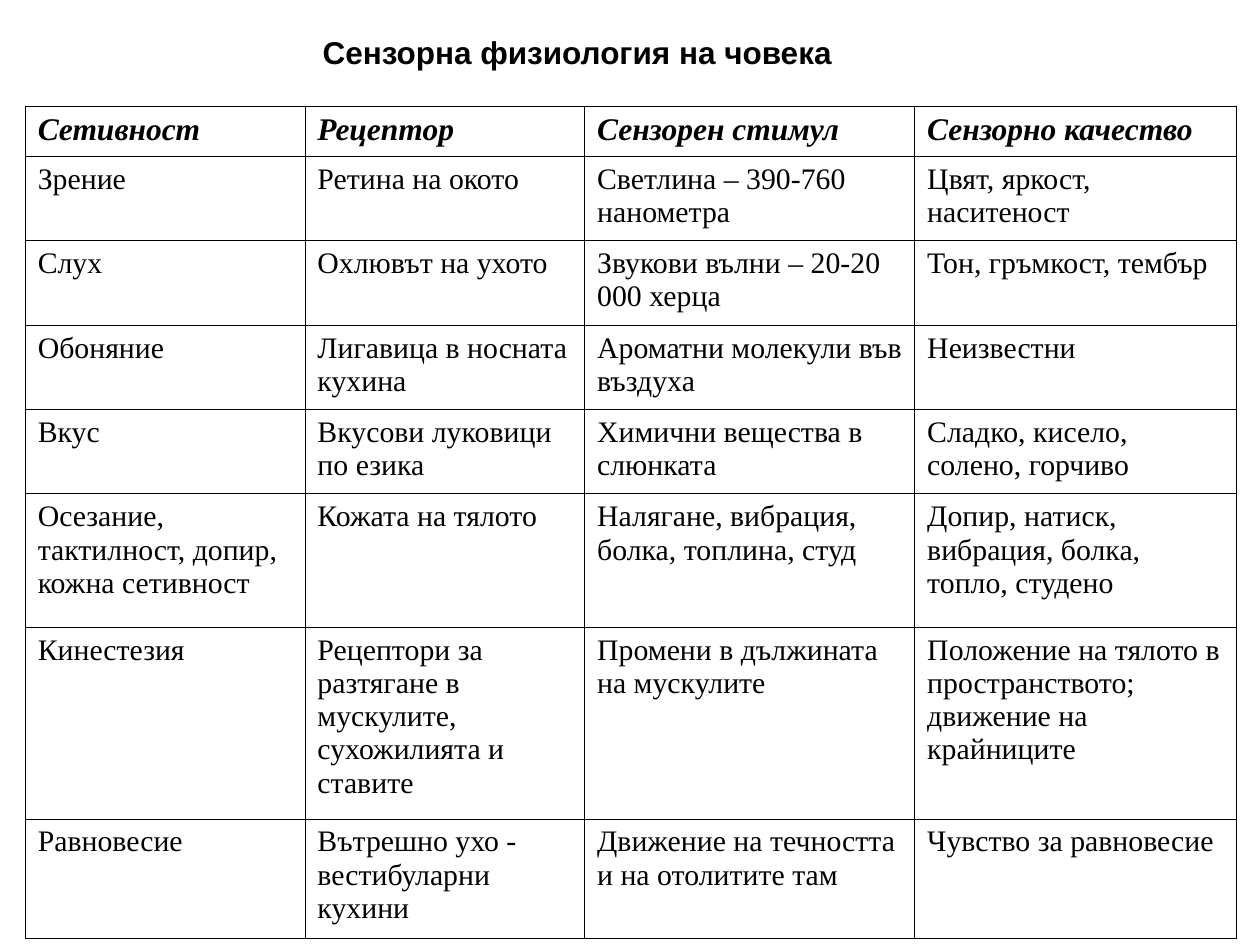
from lxml import etree
from pptx import Presentation
from pptx import util as u
from pptx.dml import color
from pptx.enum import text
from pptx.oxml import ns

COLUMN_WIDTHS = [2.22, 2.22, 2.62, 2.55]
ROW_HEIGHTS = [0.4] + [0.67] * 4 + [1.06, 1.52, 0.95]
SENSES = [
    ["Сетивност", "Рецептор", "Сензорен стимул", "Сензорно качество"],
    ["Зрение", "Ретина на окото", "Светлина – 390-760 нанометра",
     "Цвят, яркост, наситеност"],
    ["Слух", "Охлювът на ухото", "Звукови вълни – 20-20 000 херца",
     "Тон, гръмкост, тембър"],
    ["Обоняние", "Лигавица в носната кухина",
     "Ароматни молекули във въздуха", "Неизвестни"],
    ["Вкус", "Вкусови луковици по езика", "Химични вещества в слюнката",
     "Сладко, кисело, солено, горчиво"],
    ["Осезание, тактилност, допир, кожна сетивност", "Кожата на тялото",
     "Налягане, вибрация, болка, топлина, студ",
     "Допир, натиск, вибрация, болка, топло, студено"],
    ["Кинестезия",
     "Рецептори за разтягане в мускулите, сухожилията и ставите",
     "Промени в дължината на мускулите",
     "Положение на тялото в пространството; движение на крайниците"],
    ["Равновесие", "Вътрешно ухо - вестибуларни кухини",
     "Движение на течността и на отолитите там", "Чувство за равновесие"],
]


def rgb(value):
    """Turn a hex string into a colour."""
    return color.RGBColor.from_string(value)


def write(frame, wording, *, font, size, ink, bold=False, italic=False, indent=0):
    """Write one left-aligned paragraph with the given format."""
    paragraph = frame.paragraphs[0]
    paragraph.alignment = text.PP_ALIGN.LEFT
    if indent:
        paragraph._p.get_or_add_pPr().set("marL", str(u.Inches(indent)))
    run = paragraph.add_run()
    run.text = wording
    run.font.name = font
    run.font.size = u.Pt(size)
    run.font.bold = bold
    run.font.italic = italic
    run.font.color.rgb = rgb(ink)


class SensesSlide:
    """Hold the style and the current slide."""

    ink = "000000"
    title_font = "Arial"
    table_font = "Times New Roman"
    rule_width = 0.45

    def __init__(self, deck):
        """Add a slide that has only a title."""
        self.slide = deck.slides.add_slide(deck.slide_layouts[5])

    def title(self, wording, left, top, width, height):
        """Place and fill the title."""
        heading = self.slide.shapes.title
        heading.left, heading.top = u.Inches(left), u.Inches(top)
        heading.width, heading.height = u.Inches(width), u.Inches(height)
        frame = heading.text_frame
        frame.auto_size = text.MSO_AUTO_SIZE.SHAPE_TO_FIT_TEXT
        frame.vertical_anchor = text.MSO_ANCHOR.TOP
        write(frame, wording, font=self.title_font, size=18, ink=self.ink,
              bold=True, indent=1)

    def border(self, cell):
        """Rule all four sides of a cell."""
        properties = cell._tc.get_or_add_tcPr()
        for side in "LRTB":
            rule = etree.SubElement(properties, ns.qn(f"a:ln{side}"),
                                    w=str(u.Pt(self.rule_width)))
            fill = etree.SubElement(rule, ns.qn("a:solidFill"))
            etree.SubElement(fill, ns.qn("a:srgbClr"), val=self.ink)

    def table(self, rows, left, top, widths, heights):
        """Add a ruled table with an emphasised first row."""
        grid = self.slide.shapes.add_table(
            len(rows), len(widths), u.Inches(left), u.Inches(top),
            u.Inches(sum(widths)), u.Inches(sum(heights))).table
        grid.horz_banding = False
        grid.first_row = False
        for column, width in zip(grid.columns, widths):
            column.width = u.Inches(width)
        for number, (row, height, entries) in enumerate(zip(grid.rows, heights, rows)):
            row.height = u.Inches(height)
            header = number == 0
            for cell, entry in zip(row.cells, entries):
                self.border(cell)
                cell.fill.background()
                write(cell.text_frame, entry, font=self.table_font,
                      size=18 if header else 17, ink=self.ink,
                      bold=header, italic=header)


def main():
    """Build and save the slide."""
    deck = Presentation()
    deck.slide_width, deck.slide_height = u.Inches(10), u.Inches(7.5)
    senses = SensesSlide(deck)
    senses.title("Сензорна физиология на човека", 1.46, 0.21, 6.69, 0.4)
    senses.table(SENSES, 0.2, 0.84, COLUMN_WIDTHS, ROW_HEIGHTS)
    deck.save("out.pptx")


if __name__ == "__main__":
    main()
